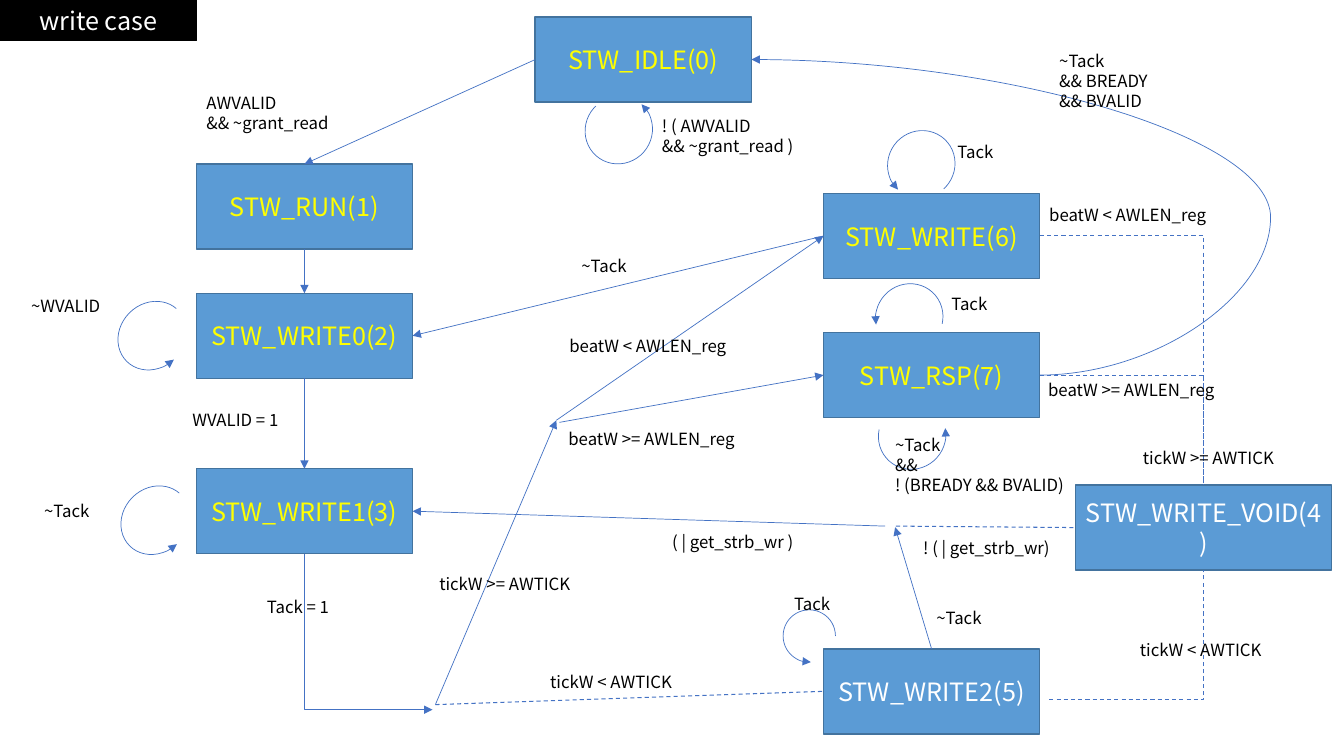
"""Draw the state diagram of the write case on one slide."""
import pptx
import pptx.util
import pptx.dml.color
import pptx.enum.dml
import pptx.enum.shapes
import pptx.enum.text
import pptx.oxml
import pptx.oxml.ns

Pt = pptx.util.Pt
KIND = pptx.enum.shapes.MSO_CONNECTOR
FORM = pptx.enum.shapes.MSO_SHAPE
FACE = "Noto Sans CJK KR"
HUES = {"box": "5B9BD5", "edge": "43739E", "line": "4472C4", "main": "FFFF00",
        "white": "FFFFFF", "black": "000000"}
WIDE, HIGH = 154.5, 60.7
TOP, LEFT, LOW, RIGHT = range(4)

TITLE = ("write case", 0, 0, 140.4, 29)
STATES = {
    "STW_IDLE(0)": (382.3, 12.2, WIDE, "main"),
    "STW_RUN(1)": (140.2, 117.2, WIDE, "main"),
    "STW_WRITE0(2)": (140.2, 209.5, WIDE, "main"),
    "STW_WRITE1(3)": (140.2, 334.8, WIDE, "main"),
    "STW_WRITE_VOID(4)": (768.3, 346.5, 183, "white"),
    "STW_WRITE2(5)": (588.2, 463.5, WIDE, "white"),
    "STW_WRITE(6)": (588.2, 138.2, WIDE, "main"),
    "STW_RSP(7)": (588.2, 237.6, WIDE, "main"),
}
IDLE, RUN, WRITE0, WRITE1, VOID, WRITE2, WRITE, RSP = STATES

FORK, BEAT, STROBE = (311, 503.3), (397.4, 300.2), (640, 375.8)
ARROWS = [
    ((IDLE, LEFT), (RUN, TOP)),
    ((RUN, LOW), (WRITE0, TOP)),
    ((WRITE0, LOW), (WRITE1, TOP)),
    (FORK, BEAT),
    (BEAT, (WRITE, LEFT)),
    ((399.6, 301.7), (RSP, LEFT)),
    ((WRITE, LEFT), (WRITE0, RIGHT)),
    ((WRITE2, TOP), (639.4, 376.6)),
    ((632.2, 375.8), (WRITE1, RIGHT)),
]
DASHES = [(FORK, (WRITE2, LEFT)), (STROBE, (VOID, LEFT))]
BENDS = [((WRITE, RIGHT), (VOID, TOP)), ((RSP, RIGHT), (VOID, TOP)),
         ((749.5, 499.7), (VOID, LOW))]

LOOPS = [
    (418.3, 68.4, 47.5, 49, 41.4, 162, 110.89),
    (634.3, 92.9, 47.5, 49, 222.7, 162, 110.89),
    (625.7, 202.3, 47.5, 49, 222.7, 183.23, 88.93),
    (627.8, 286.6, 47.5, 49, 42.1, 183.23, 88.93),
    (85.7, 213.8, 46.1, 51.8, 224.9, 109.85, 52),
    (87.8, 345.6, 46.1, 51.8, 224.9, 109.85, 52),
    (559.4, 435.6, 37.4, 37.4, 0, 51.89, 0),
]
LABELS = [
    ("AWVALID\n&& ~grant_read", 140.4, 62.6, 155),
    ("! ( AWVALID\n&& ~grant_read )", 465.8, 79.2, 205),
    ("~Tack\v&& BREADY\n&& BVALID", 749.5, 32.4, 167),
    ("~Tack\v&&\n! (BREADY && BVALID)", 632.2, 306.7, 145),
    ("~WVALID", 15.1, 207.4, 85),
    ("WVALID = 1", 130.3, 289.4, 85),
    ("~Tack", 24.5, 354.2, 66),
    ("Tack = 1", 183.6, 422.6, 81),
    ("tickW >= AWTICK", 306.7, 406.1, 144),
    ("tickW < AWTICK", 385.9, 476.6, 151),
    ("beatW < AWLEN_reg", 399.6, 236.2, 145),
    ("beatW >= AWLEN_reg", 398.9, 302.4, 146),
    ("~Tack", 408.2, 179.3, 58),
    ("( | get_strb_wr )", 473, 376.6, 109),
    ("! ( | get_strb_wr)", 652.3, 380.2, 117),
    ("~Tack", 661.7, 430.6, 73),
    ("Tack", 560.2, 420.5, 73),
    ("Tack", 676.8, 97.9, 58),
    ("Tack", 672.5, 206.6, 58),
    ("beatW < AWLEN_reg", 742.3, 142.6, 167),
    ("beatW >= AWLEN_reg", 741.6, 267.8, 150),
    ("tickW >= AWTICK", 809.3, 316.1, 128),
    ("tickW < AWTICK", 807.1, 453.6, 124),
]


def hue(name):
    return pptx.dml.color.RGBColor.from_string(HUES[name])


def write(shape, text, size, tone, align=None):
    frame = shape.text_frame
    frame.word_wrap = True
    frame.text = text
    for para in frame.paragraphs:
        para.alignment = align
        para.font.name = FACE
        para.font.size = Pt(size)
        para.font.color.rgb = hue(tone)


def block(text, x, y, w, h, fill, edge, tone):
    shape = slide.shapes.add_shape(FORM.RECTANGLE, Pt(x), Pt(y), Pt(w), Pt(h))
    shape.shadow.inherit = False
    shape.fill.solid()
    shape.fill.fore_color.rgb = hue(fill)
    shape.line.color.rgb = hue(edge)
    shape.line.width = Pt(1)
    write(shape, text, 18, tone, pptx.enum.text.PP_ALIGN.CENTER)
    return shape


def stroke(shape, width, end=None):
    shape.line.color.rgb = hue("line")
    shape.line.width = Pt(width)
    if end:
        tip = pptx.oxml.ns.qn("a:" + end)
        shape.line._get_or_add_ln().makeelement(tip)
        pptx.oxml.xmlchemy.OxmlElement("a:" + end)
        head = pptx.oxml.xmlchemy.OxmlElement("a:" + end)
        head.set("type", "triangle")
        shape.line._get_or_add_ln().append(head)


def spot(end):
    if end[0] not in STATES:
        return end
    x, y, w, _ = STATES[end[0]]
    return [(x + w / 2, y), (x, y + HIGH / 2),
            (x + w / 2, y + HIGH), (x + w, y + HIGH / 2)][end[1]]


def link(start, stop, kind=KIND.STRAIGHT, end=None, dash=False):
    line = slide.shapes.add_connector(kind, *map(Pt, spot(start) + spot(stop)))
    line._element.spPr.append(pptx.oxml.xmlchemy.OxmlElement("a:effectLst"))
    if dash:
        line.line.dash_style = pptx.enum.dml.MSO_LINE.DASH
    stroke(line, 0.75 if dash else 0.5, end)
    if kind == KIND.STRAIGHT:
        if start[0] in STATES:
            line.begin_connect(boxes[start[0]], start[1])
        if stop[0] in STATES:
            line.end_connect(boxes[stop[0]], stop[1])
    return line._element.spPr.find(pptx.oxml.ns.qn("a:prstGeom"))


deck = pptx.Presentation()
deck.slide_width, deck.slide_height = Pt(960), Pt(540)
slide = deck.slides.add_slide(deck.slide_layouts[6])

block(*TITLE, "black", "black", "white")
boxes = {name: block(name, x, y, w, HIGH, "box", "edge", tone)
         for name, (x, y, w, tone) in STATES.items()}

for start, stop in ARROWS:
    link(start, stop, end="tailEnd")
for start, stop in DASHES:
    link(start, stop, dash=True)
for start, stop in BENDS:
    link(start, stop, KIND.ELBOW, dash=True).set("prst", "bentConnector2")
link((309, 507), (WRITE1, LOW), KIND.ELBOW, "headEnd").set("prst", "bentConnector2")

curve = link((RSP, RIGHT), (IDLE, RIGHT), KIND.CURVE, "tailEnd")
guide = pptx.oxml.xmlchemy.OxmlElement("a:gd")
guide.set("name", "adj1")
guide.set("fmla", "val -80100")
curve.get_or_add_avLst().append(guide)

for x, y, w, h, turn, first, last in LOOPS:
    arc = slide.shapes.add_shape(FORM.ARC, Pt(x), Pt(y), Pt(w), Pt(h))
    arc.shadow.inherit = False
    arc.fill.background()
    arc.rotation = turn
    arc.adjustments[0], arc.adjustments[1] = first, last
    stroke(arc, 0.5, "headEnd")

for text, x, y, w in LABELS:
    high = 7.2 + 14.4 * len(text.splitlines())
    label = slide.shapes.add_textbox(Pt(x), Pt(y), Pt(w), Pt(high))
    write(label, text, 12, "black")

deck.save("out.pptx")
